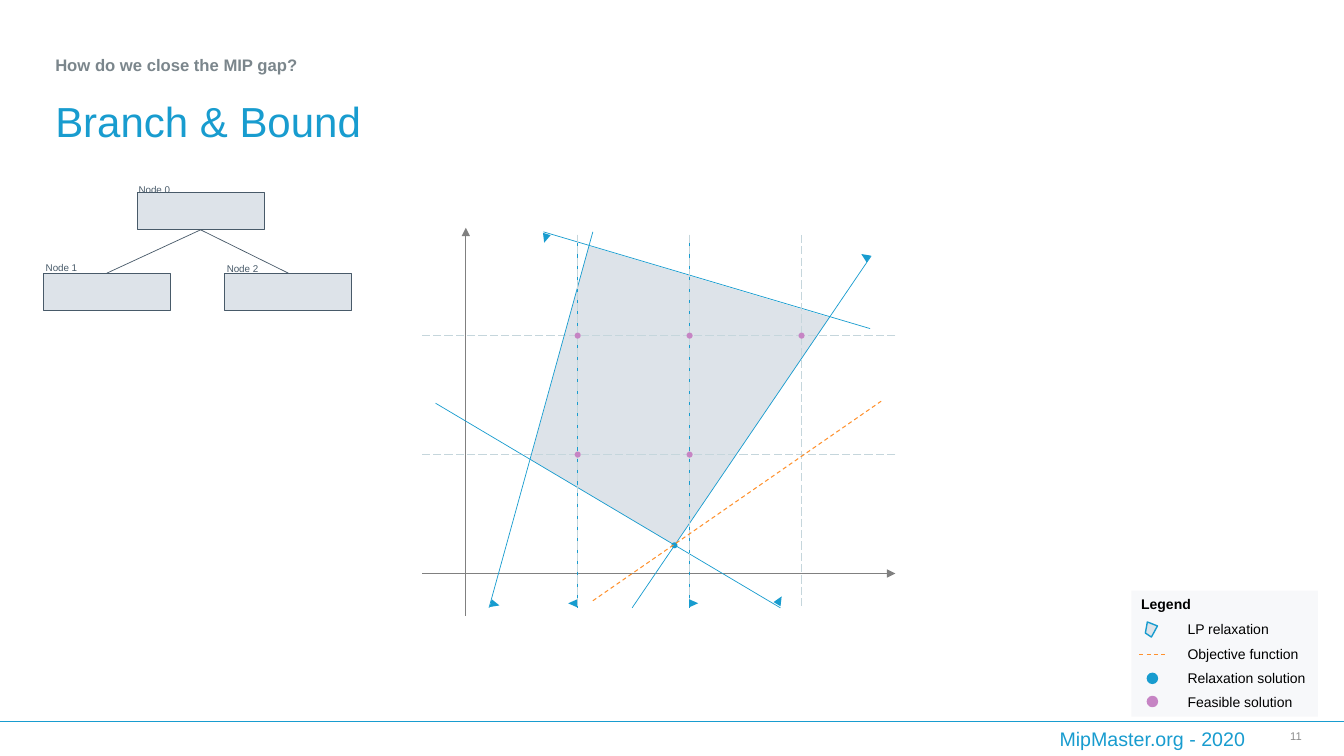
from lxml.etree import SubElement
from pptx import Presentation
from pptx.dml.color import RGBColor
from pptx.enum.dml import MSO_LINE
from pptx.enum.shapes import MSO_CONNECTOR, MSO_SHAPE
from pptx.enum.text import MSO_ANCHOR, PP_ALIGN
from pptx.oxml.ns import qn
from pptx.util import Inches, Pt

COLORS = {
    "blue": "189CCF",
    "region": "DDE3E9",
    "axis": "808080",
    "grid": "C5D6DC",
    "orange": "FF912D",
    "purple": "C684C4",
    "node": "485A69",
    "subtitle": "7B868C",
    "page": "8C8C8C",
    "black": "000000",
}

presentation = Presentation()
presentation.slide_width = Inches(13.33)
presentation.slide_height = Inches(7.5)
slide = presentation.slides.add_slide(presentation.slide_layouts[6])


def add_line(start, end, color, width, dash=None, arrow=False):
    points = [Inches(value) for value in start + end]
    connector = slide.shapes.add_connector(MSO_CONNECTOR.STRAIGHT, *points)
    connector.line.color.rgb = RGBColor.from_string(COLORS[color])
    connector.line.width = Pt(width)
    if dash:
        connector.line.dash_style = dash
    if arrow:
        SubElement(connector.line._get_or_add_ln(), qn("a:headEnd"), type="triangle")
    SubElement(connector._element.spPr, qn("a:effectLst"))
    return connector


def add_filled_shape(kind, box, fill, outline=None, width=1):
    shape = slide.shapes.add_shape(kind, *[Inches(value) for value in box])
    shape.shadow.inherit = False
    shape.fill.solid()
    shape.fill.fore_color.rgb = RGBColor.from_string(COLORS[fill])
    if outline:
        shape.line.color.rgb = RGBColor.from_string(COLORS[outline])
        shape.line.width = Pt(width)
    else:
        shape.line.fill.background()
    return shape


legend_panel = add_filled_shape(MSO_SHAPE.RECTANGLE, (11.22, 5.86, 1.85, 1.25), "region")
panel_color = legend_panel._element.spPr.find(qn("a:solidFill"))[0]
SubElement(panel_color, qn("a:alpha"), val="22000")

regions = [
    ([(5.84, 2.44), (8.23, 3.15), (6.69, 5.41), (5.26, 4.56)], False),
    ([(11.38, 6.17), (11.48, 6.21), (11.42, 6.32), (11.36, 6.28)], True),
]
for corners, outlined in regions:
    points = [(Inches(x), Inches(y)) for x, y in corners]
    builder = slide.shapes.build_freeform(*points[0])
    builder.add_line_segments(points[1:], close=True)
    region = builder.convert_to_shape()
    region.shadow.inherit = False
    region.fill.solid()
    region.fill.fore_color.rgb = RGBColor.from_string(COLORS["region"])
    if outlined:
        region.line.color.rgb = RGBColor.from_string(COLORS["blue"])
        region.line.width = Pt(1)
    else:
        region.line.fill.background()

origin_x, origin_y = 4.62, 5.69
columns = [origin_x + 1.11 * step for step in (1, 2, 3)]
rows = [origin_y - 1.18 * step for step in (1, 2)]

add_line((8.88, origin_y), (4.19, origin_y), "axis", 0.75, arrow=True)
add_line((origin_x, 2.26), (origin_x, 6.11), "axis", 0.75, arrow=True)
for y in rows:
    add_line((8.88, y), (4.19, y), "grid", 0.75, MSO_LINE.LONG_DASH)

constraints = [
    ((4.85, 6.03), (5.88, 2.3)),
    ((8.63, 3.26), (5.39, 2.3)),
    ((8.64, 2.54), (6.27, 6.03)),
    ((4.32, 4), (7.74, 6.03)),
]
branches = [((x, 2.33), (x, 6.03)) for x in columns[:2]]
for start, end in branches + constraints:
    add_line(start, end, "blue", 0.5)
for x in columns:
    add_line((x, 2.33), (x, 6.03), "grid", 0.75, MSO_LINE.LONG_DASH)

direction_marks = [
    (7.69, 5.91, 30.7),
    (4.87, 5.95, 104.9),
    (5.37, 2.32, 196.8),
    (8.54, 2.5, 303.8),
    (6.84, 5.94, 90),
    (5.64, 5.94, 270),
]
for left, top, rotation in direction_marks:
    mark = add_filled_shape(MSO_SHAPE.ISOSCELES_TRIANGLE, (left, top, 0.08, 0.09), "blue")
    mark.rotation = rotation

add_filled_shape(MSO_SHAPE.OVAL, (6.66, 5.38, 0.06, 0.06), "blue")
for start, end in [((5.88, 5.96), (8.74, 3.98)), ((11.3, 6.49), (11.58, 6.49))]:
    add_line(start, end, "orange", 0.75, MSO_LINE.DASH)

for x in columns:
    for y in rows:
        if (x, y) != (columns[2], rows[0]):
            add_filled_shape(MSO_SHAPE.OVAL, (x - 0.03, y - 0.03, 0.06, 0.06), "purple")
for top, color in [(6.68, "blue"), (6.91, "purple")]:
    add_filled_shape(MSO_SHAPE.OVAL, (11.38, top, 0.1, 0.1), color, color)

nodes = [
    add_filled_shape(MSO_SHAPE.RECTANGLE, (left, top, 1.26, 0.37), "region", "node", 0.75)
    for left, top in [(1.36, 1.91), (0.43, 2.71), (2.23, 2.71)]
]
for child, child_x in zip(nodes[1:], (1.06, 2.86)):
    edge = add_line((1.99, 2.28), (child_x, 2.71), "node", 0.5)
    edge.begin_connect(nodes[0], 2)
    edge.end_connect(child, 0)

add_line((0, 7.15), (13.33, 7.15), "blue", 0.25)

centered = {"alignment": PP_ALIGN.CENTER}
texts = [
    ("Branch & Bound", (0.45, 0.9, 11.5, 0.66), 30, "blue", False,
     {"line_spacing": 0.9}, MSO_ANCHOR.MIDDLE),
    ("How do we close the MIP gap?", (0.45, 0.55, 6.03, 0.25), 11.9, "subtitle", True,
     {"line_spacing": 0.7}, MSO_ANCHOR.TOP),
    ("Legend", (11.22, 5.86, 1.85, 0.27), 10, "black", True, {}, MSO_ANCHOR.TOP),
    ("Node 0", (1.24, 1.77, 0.58, 0.22), 7, "node", False, centered, MSO_ANCHOR.TOP),
    ("Node 1", (0.33, 2.55, 0.56, 0.22), 7, "node", False, centered, MSO_ANCHOR.TOP),
    ("Node 2", (2.08, 2.56, 0.65, 0.22), 7, "node", False, centered, MSO_ANCHOR.TOP),
    ("11", (12.52, 7.1, 0.49, 0.4), 8, "page", False,
     {"alignment": PP_ALIGN.RIGHT}, MSO_ANCHOR.MIDDLE),
    ("MipMaster.org - 2020", (10.41, 7.16, 2.39, 0.34), 14, "blue", False, {}, MSO_ANCHOR.TOP),
]
legend_labels = ["LP relaxation", "Objective function", "Relaxation solution", "Feasible solution"]
for index, label in enumerate(legend_labels):
    box = (11.68, 6.11 + 0.24 * index, 1.39, 0.27)
    texts.append((label, box, 10, "black", False, {}, MSO_ANCHOR.TOP))

for text, box, size, color, bold, paragraph_format, anchor in texts:
    text_frame = slide.shapes.add_textbox(*[Inches(value) for value in box]).text_frame
    text_frame.word_wrap = True
    text_frame.vertical_anchor = anchor
    paragraph = text_frame.paragraphs[0]
    for name, value in paragraph_format.items():
        setattr(paragraph, name, value)
    run = paragraph.add_run()
    run.text = text
    for name, value in {"name": "Arial", "size": Pt(size), "bold": bold}.items():
        setattr(run.font, name, value)
    run.font.color.rgb = RGBColor.from_string(COLORS[color])

presentation.save("out.pptx")
